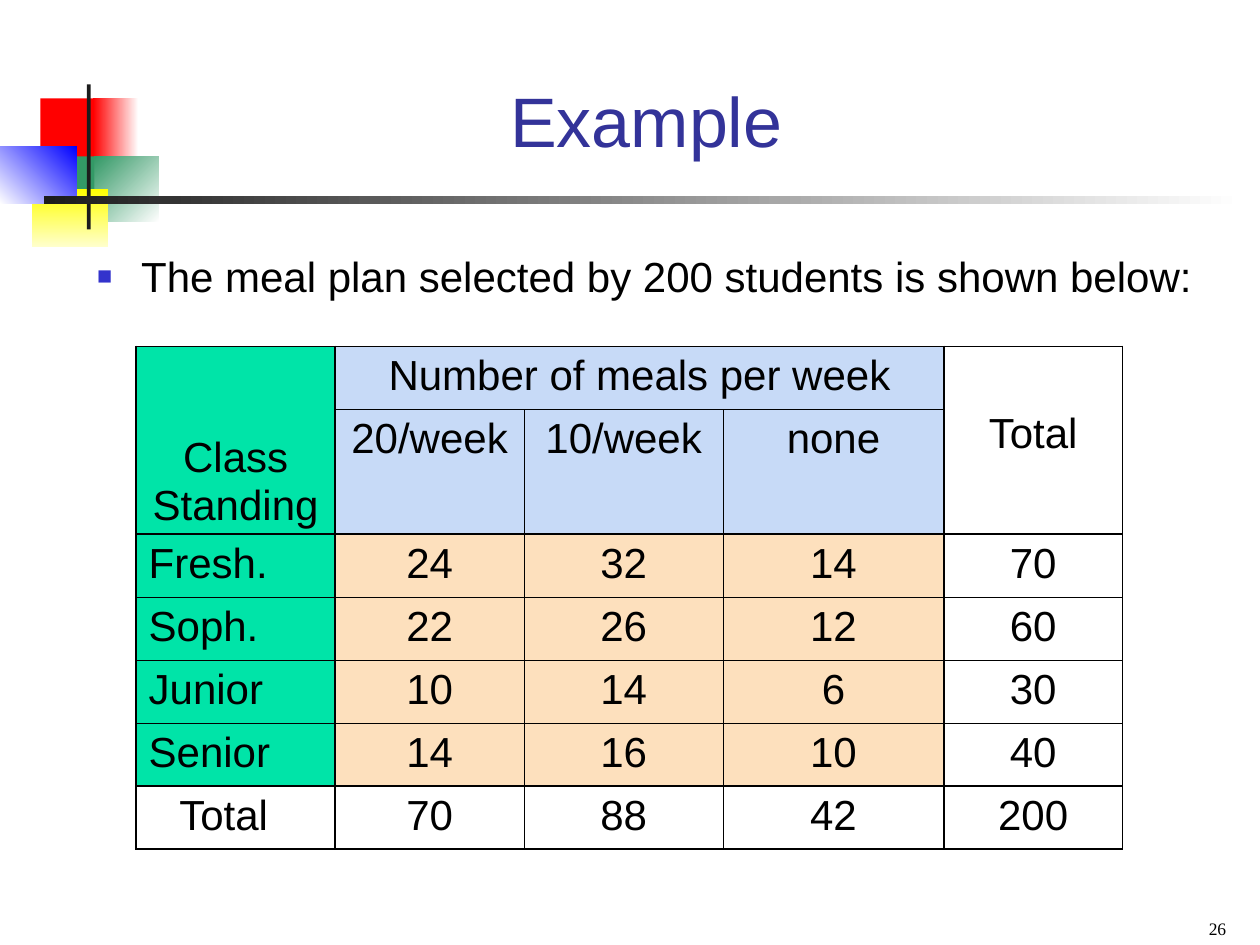
import pptx
import pptx.dml.color
import pptx.enum.shapes
import pptx.enum.text
import pptx.oxml
import pptx.oxml.ns
import pptx.util
from lxml import etree

Inches = pptx.util.Inches
Pt = pptx.util.Pt
ALIGN = pptx.enum.text.PP_ALIGN
ANCHOR = pptx.enum.text.MSO_ANCHOR
qn = pptx.oxml.ns.qn

GREEN, BLUE, PEACH = "00E4A8", "C7DAF7", "FDE0BD"
THICK, THIN = 1.08, 0.45

# Corner decoration: left, top, width, height, colours, clockwise angle
DECORATION = [
    (0.32, 0.78, 0.48, 0.52, ["FF0000"], 0),
    (0.74, 0.78, 0.36, 0.52, ["FFFFFF", "FF0000"], 180),
    (0.75, 1.24, 0.51, 0.52, ["FFFFFF", "339966"], 225),
    (0.43, 1.24, 0.32, 0.52, ["339966"], 0),
    (0.25, 1.5, 0.61, 0.46, ["FFFF00", "FFFFCC"], 90),
    (0, 1.16, 0.61, 0.46, ["0000FF", "FFFFFF"], 135),
    (0.69, 0.67, 0.03, 1.15, ["1C1C1C"], 0),
    (0.35, 1.56, 9.51, 0.06, ["FFFFFF", "1C1C1C"], 180),
]

MEAL_PLANS = [
    ["Class\nStanding", "Number of meals per week", "", "", "Total"],
    ["", "20/week", "10/week", "none", ""],
    ["Fresh.", "24", "32", "14", "70"],
    ["Soph.", "22", "26", "12", "60"],
    ["Junior", "10", "14", "6", "30"],
    ["Senior", "14", "16", "10", "40"],
    ["Total", "70", "88", "42", "200"],
]
COLUMN_WIDTHS = [1.58, 1.5, 1.58, 1.75, 1.42]
ROW_HEIGHTS = [0.5, 0.99] + [0.5] * 5
MERGES = [((0, 0), (1, 0)), ((0, 1), (0, 3)), ((0, 4), (1, 4))]
THICK_ROW_EDGES, THICK_COLUMN_EDGES = {0, 2, 6, 7}, {0, 1, 4, 5}


def colour(value):
    return pptx.dml.color.RGBColor.from_string(value)


def place(shape, left, top, width, height):
    shape.left, shape.top = Inches(left), Inches(top)
    shape.width, shape.height = Inches(width), Inches(height)


def style(paragraph, size, font="Arial", ink="000000", align=ALIGN.LEFT):
    paragraph.alignment = align
    paragraph.space_before = Pt(0)
    paragraph.font.size = Pt(size)
    paragraph.font.name = font
    paragraph.font.color.rgb = colour(ink)


def add_block(slide, left, top, width, height, colours, angle):
    block = slide.shapes.add_shape(
        pptx.enum.shapes.MSO_SHAPE.RECTANGLE,
        Inches(left), Inches(top), Inches(width), Inches(height))
    block.shadow.inherit = False
    block.line.fill.background()
    if len(colours) == 1:
        block.fill.solid()
        block.fill.fore_color.rgb = colour(colours[0])
        return
    block.fill.gradient()
    block.fill.gradient_angle = 360 - angle
    for stop, value in zip(block.fill.gradient_stops, colours):
        stop.color.rgb = colour(value)


def add_title(slide, text):
    title = slide.shapes.title
    place(title, 1.26, 0.25, 7.74, 1.08)
    title.text_frame.text = text
    title.text_frame.vertical_anchor = ANCHOR.BOTTOM
    style(title.text_frame.paragraphs[0], 40, ink="333399", align=ALIGN.CENTER)


def add_statement(slide, text):
    statement = slide.placeholders[1]
    place(statement, 0.67, 1.92, 9, 0.54)
    frame = statement.text_frame
    frame.text = text
    frame.margin_top = Inches(0.07)
    # Square bullet with a hanging indent
    properties = frame.paragraphs[0]._p.get_or_add_pPr()
    properties.set("marL", str(Inches(0.35)))
    properties.set("indent", str(-Inches(0.35)))
    bullet_colour = etree.SubElement(properties, qn("a:buClr"))
    etree.SubElement(bullet_colour, qn("a:srgbClr"), val="3333CC")
    etree.SubElement(properties, qn("a:buSzPct"), val="60000")
    etree.SubElement(properties, qn("a:buFont"), typeface="Arial")
    etree.SubElement(properties, qn("a:buChar"), char="■")
    style(frame.paragraphs[0], 24)


def cell_fill(row, column):
    if row == 6 or column == 4:
        return None
    if column == 0:
        return GREEN
    return BLUE if row < 2 else PEACH


def set_borders(cell, row, column):
    bottom = row + (cell.span_height if cell.is_merge_origin else 1)
    right = column + (cell.span_width if cell.is_merge_origin else 1)
    edges = [("L", column in THICK_COLUMN_EDGES), ("R", right in THICK_COLUMN_EDGES),
             ("T", row in THICK_ROW_EDGES), ("B", bottom in THICK_ROW_EDGES)]
    properties = cell._tc.get_or_add_tcPr()
    for side, is_thick in edges:
        # Thin edges of a spanned cell lie inside the merged area
        if cell.is_spanned and not is_thick:
            continue
        line = etree.SubElement(properties, qn("a:ln" + side),
                                w=str(Pt(THICK if is_thick else THIN)))
        fill = etree.SubElement(line, qn("a:solidFill"))
        etree.SubElement(fill, qn("a:srgbClr"), val="000000")


def fill_cell(cell, row, column, text):
    set_borders(cell, row, column)
    fill = cell_fill(row, column)
    if fill:
        cell.fill.solid()
        cell.fill.fore_color.rgb = colour(fill)
    else:
        cell.fill.background()
    if cell.is_spanned:
        return
    cell.margin_left = cell.margin_right = Inches(0.1)
    cell.text_frame.text = text
    is_class_name = column == 0 and 2 <= row < 6
    for paragraph in cell.text_frame.paragraphs:
        style(paragraph, 24, align=ALIGN.LEFT if is_class_name else ALIGN.CENTER)


def add_meal_table(slide):
    table = slide.shapes.add_table(
        len(ROW_HEIGHTS), len(COLUMN_WIDTHS), Inches(1.08), Inches(2.75),
        Inches(sum(COLUMN_WIDTHS)), Inches(sum(ROW_HEIGHTS))).table
    table.first_row = table.horz_banding = False
    for column, width in zip(table.columns, COLUMN_WIDTHS):
        column.width = Inches(width)
    for row, height in zip(table.rows, ROW_HEIGHTS):
        row.height = Inches(height)
    for first, last in MERGES:
        table.cell(*first).merge(table.cell(*last))
    for row, texts in enumerate(MEAL_PLANS):
        for column, text in enumerate(texts):
            fill_cell(table.cell(row, column), row, column, text)

    # Cells set apart from the common layout
    class_standing = table.cell(0, 0)
    class_standing.vertical_anchor = ANCHOR.BOTTOM
    for paragraph in class_standing.text_frame.paragraphs:
        paragraph.line_spacing = 0.8
    class_standing.text_frame.paragraphs[1].space_before = Pt(6)
    table.cell(0, 4).margin_top = Inches(0.51)
    table.cell(6, 0).margin_right = Inches(0.29)


def add_page_number(slide, text):
    page_number = slide.shapes.add_textbox(
        Inches(7.5), Inches(7.15), Inches(2.33), Inches(0.35))
    frame = page_number.text_frame
    frame.word_wrap = True
    frame.vertical_anchor = ANCHOR.BOTTOM
    frame.text = text
    style(frame.paragraphs[0], 10, font="Times New Roman", align=ALIGN.RIGHT)


def main():
    deck = pptx.Presentation()
    deck.slide_width, deck.slide_height = Inches(10), Inches(7.5)
    slide = deck.slides.add_slide(deck.slide_layouts[1])
    for block in DECORATION:
        add_block(slide, *block)
    add_title(slide, "Example")
    add_statement(slide, "The meal plan selected by 200 students is shown below:")
    add_meal_table(slide)
    add_page_number(slide, "26")
    deck.save("out.pptx")


if __name__ == "__main__":
    main()
